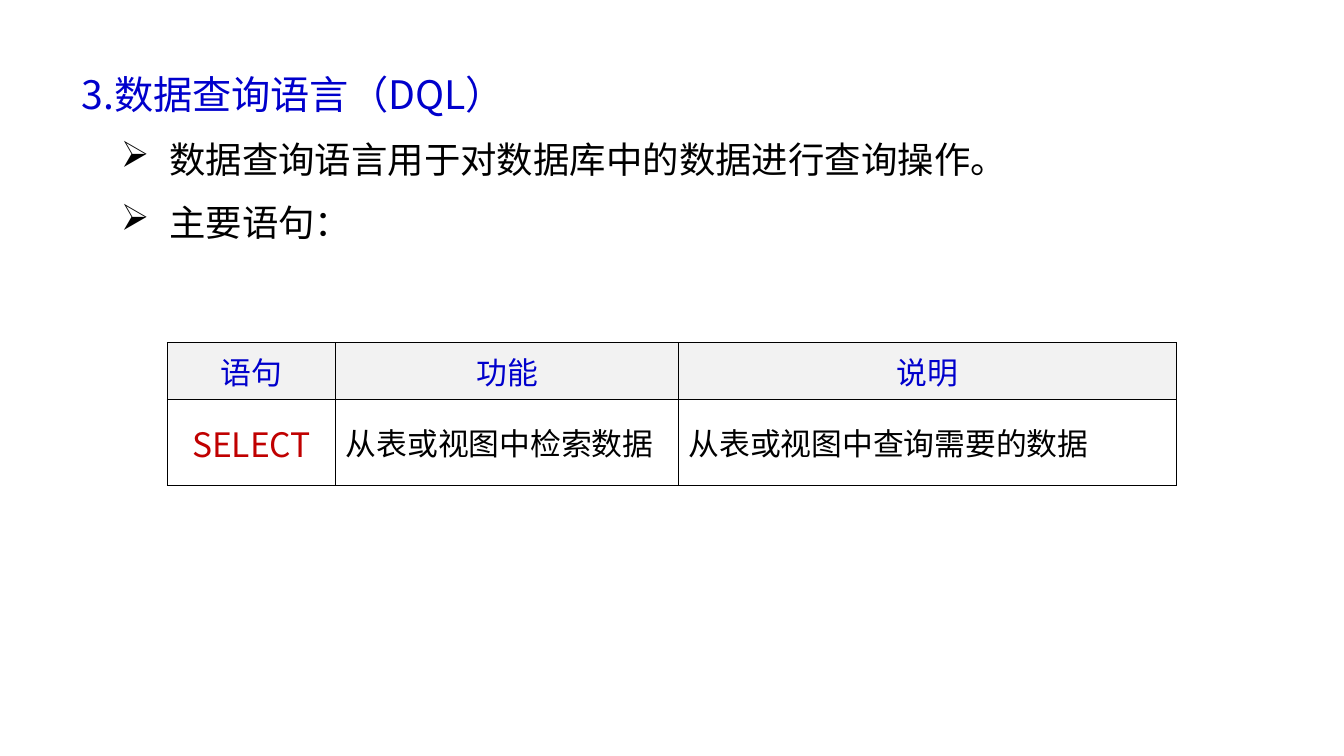
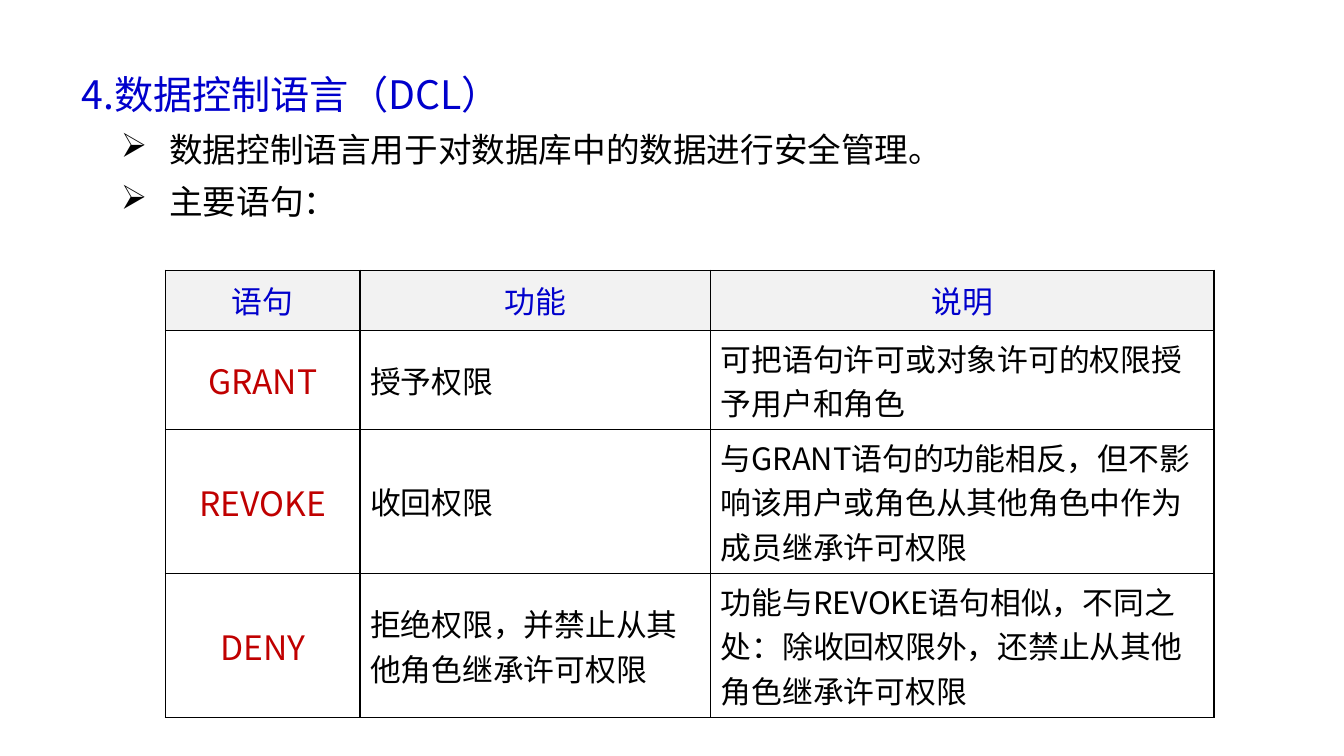
from lxml import etree
from pptx import Presentation
from pptx import util as u
from pptx.dml import color
from pptx.enum import text as t
from pptx.oxml import ns

FONT = "Noto Sans CJK SC"
COLORS = {"heading": "0000CC", "keyword": "C00000", "body": "000000",
          "border": "000000", "header_fill": "F2F2F2"}
HEADERS = ["语句", "功能", "说明"]


def rgb(name):
    return color.RGBColor.from_string(COLORS[name])


def write(paragraph, text, size=22, tint="body", align=t.PP_ALIGN.LEFT):
    paragraph.alignment = align
    run = paragraph.add_run()
    run.text = text
    run.font.size = u.Pt(size)
    run.font.name = FONT
    run.font.color.rgb = rgb(tint)
    etree.SubElement(run.font._element, ns.qn("a:ea"), typeface=FONT)


class Deck:
    """Holds the shared style and the current slide."""

    def __init__(self):
        self.presentation = Presentation()
        self.presentation.slide_width = u.Inches(13.33)
        self.presentation.slide_height = u.Inches(7.5)
        self.slide = None

    def add_slide(self):
        self.slide = self.presentation.slides.add_slide(self.presentation.slide_layouts[6])

    def add_outline(self, heading, points, size, space, height):
        box = self.slide.shapes.add_textbox(
            u.Inches(0.71), u.Inches(0.6), u.Inches(11.33), u.Inches(height))
        frame = box.text_frame
        frame.word_wrap = True
        write(frame.paragraphs[0], heading, size=28, tint="heading")
        for point in points:
            paragraph = frame.add_paragraph()
            write(paragraph, point, size=size)
            self.add_bullet(paragraph)
        for paragraph in frame.paragraphs:
            paragraph.line_spacing = 1.1
            paragraph.space_before = u.Pt(space)

    def add_bullet(self, paragraph):
        paragraph.level = 1
        properties = paragraph._p.get_or_add_pPr()
        properties.set("marL", str(u.Inches(0.87)))
        properties.set("indent", str(u.Inches(-0.48)))
        etree.SubElement(properties, ns.qn("a:buChar"), char="➢")

    def add_table(self, left, top, widths, heights, rows):
        table = self.slide.shapes.add_table(
            len(heights), len(widths), u.Inches(left), u.Inches(top),
            u.Inches(sum(widths)), u.Inches(sum(heights))).table
        table.first_row = table.horz_banding = False
        for column, width in zip(table.columns, widths):
            column.width = u.Inches(width)
        for row, height in zip(table.rows, heights):
            row.height = u.Inches(height)
        for row_index, texts in enumerate([HEADERS] + rows):
            for column_index, text in enumerate(texts):
                self.fill_cell(table.cell(row_index, column_index), text,
                               header=row_index == 0, keyword=column_index == 0)

    def fill_cell(self, cell, text, header, keyword):
        cell.vertical_anchor = t.MSO_ANCHOR.MIDDLE
        paragraph = cell.text_frame.paragraphs[0]
        if header:
            cell.fill.solid()
            cell.fill.fore_color.rgb = rgb("header_fill")
            write(paragraph, text, tint="heading", align=t.PP_ALIGN.CENTER)
        else:
            cell.fill.background()
            if keyword:
                write(paragraph, text, size=24, tint="keyword", align=t.PP_ALIGN.CENTER)
            else:
                write(paragraph, text)
        self.add_borders(cell)

    def add_borders(self, cell):
        properties = cell._tc.get_or_add_tcPr()
        for index, side in enumerate(["lnL", "lnR", "lnT", "lnB"]):
            line = etree.Element(ns.qn(f"a:{side}"), w=str(u.Pt(1)))
            fill = etree.SubElement(line, ns.qn("a:solidFill"))
            etree.SubElement(fill, ns.qn("a:srgbClr"), val=COLORS["border"])
            properties.insert(index, line)


def main():
    deck = Deck()

    deck.add_slide()
    deck.add_outline("3.数据查询语言（DQL）",
                     ["数据查询语言用于对数据库中的数据进行查询操作。", "主要语句："],
                     size=26, space=11, height=2.51)
    deck.add_table(1.66, 3.4, [1.67, 3.4, 4.94], [0.56, 0.86],
                   [["SELECT", "从表或视图中检索数据", "从表或视图中查询需要的数据"]])

    deck.add_slide()
    deck.add_outline("4.数据控制语言（DCL）",
                     ["数据控制语言用于对数据库中的数据进行安全管理。", "主要语句："],
                     size=24, space=5.5, height=2.08)
    deck.add_table(1.64, 2.68, [1.93, 3.48, 4.99], [0.6, 0.98, 1.43, 1.43], [
        ["GRANT", "授予权限", "可把语句许可或对象许可的权限授予用户和角色"],
        ["REVOKE", "收回权限",
         "与GRANT语句的功能相反，但不影响该用户或角色从其他角色中作为成员继承许可权限"],
        ["DENY", "拒绝权限，并禁止从其他角色继承许可权限",
         "功能与REVOKE语句相似，不同之处：除收回权限外，还禁止从其他角色继承许可权限"],
    ])

    deck.presentation.save("out.pptx")


if __name__ == "__main__":
    main()
